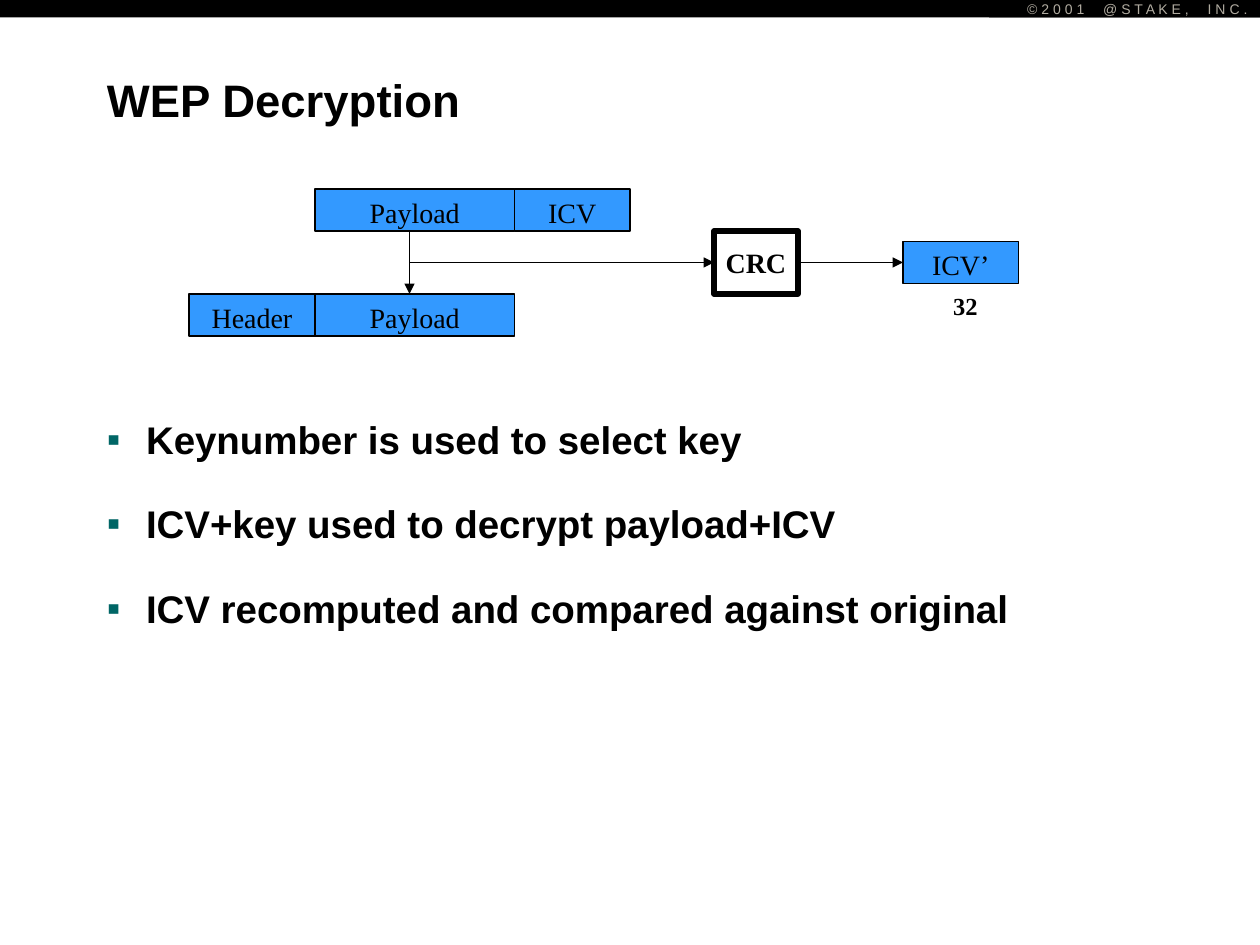
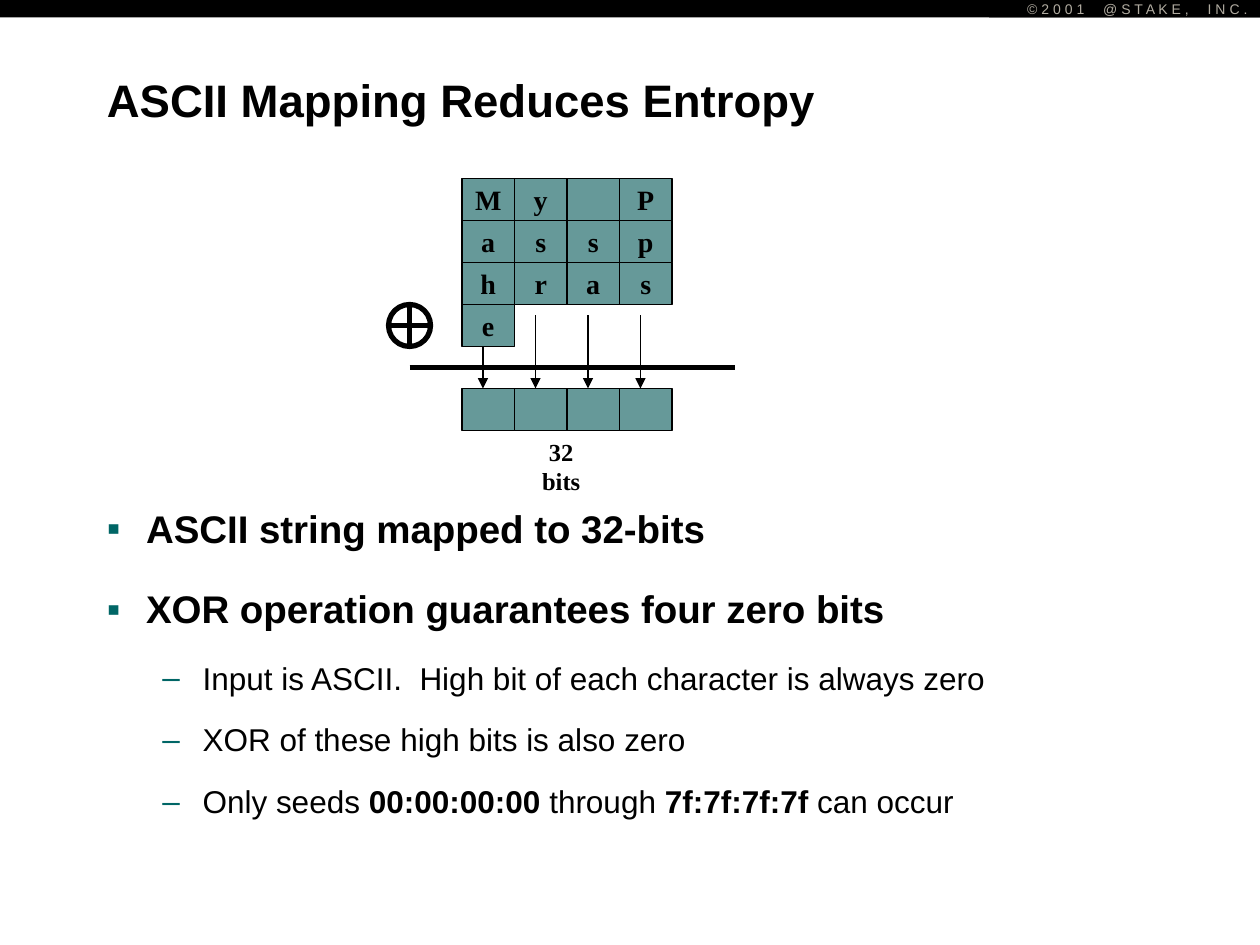
import pptx
import pptx.util
import pptx.dml.color
import pptx.enum.shapes
import pptx.enum.text
import pptx.oxml.ns
import lxml.etree

Cm = pptx.util.Cm
Pt = pptx.util.Pt
rgb = pptx.dml.color.RGBColor.from_string
qn = pptx.oxml.ns.qn
SHAPE = pptx.enum.shapes.MSO_SHAPE
ANCHOR = pptx.enum.text.MSO_ANCHOR
ALIGN = pptx.enum.text.PP_ALIGN

UNIT = 2.54 / 12
BLACK, WHITE, GREY = "000000", "FFFFFF", "B1ACA1"
BLUE, TEAL, BULLET = "3399FF", "669999", "006666"
SANS, SERIF = "Arial", "Times New Roman"


def box(s, x, y, w, h, text="", fill=None, line=None, size=16, bold=False, font=SERIF,
        color=BLACK, anchor=ANCHOR.MIDDLE, align=ALIGN.CENTER, wrap=False, kind=SHAPE.RECTANGLE):
    place = [Cm(v * UNIT) for v in (x, y, w, h)]
    if fill:
        sp = s.shapes.add_shape(kind, *place)
        sp.shadow.inherit = False
        sp.fill.solid()
        sp.fill.fore_color.rgb = rgb(fill)
        if line:
            sp.line.color.rgb = rgb(BLACK)
            sp.line.width = Pt(line)
        else:
            sp.line.fill.background()
    else:
        sp = s.shapes.add_textbox(*place)
    tf = sp.text_frame
    tf.word_wrap = wrap
    tf.vertical_anchor = anchor
    if fill and anchor == ANCHOR.TOP:
        tf.margin_bottom = 0
    if text:
        p = tf.paragraphs[0]
        p.alignment = align
        for i, word in enumerate(text.split("|")):
            if i:
                r = p.add_run()
                r.text = " "
                r.font.size = Pt(size)
                r.font._element.set("spc", "890")
            r = p.add_run()
            r.text = word
            r.font.size = Pt(size)
            r.font.bold = bold
            r.font.name = font
            r.font.color.rgb = rgb(color)
    return sp


def connect(s, x1, y1, x2, y2, width=0.75, arrow=True):
    c = s.shapes.add_connector(pptx.enum.shapes.MSO_CONNECTOR.STRAIGHT,
                               *[Cm(v * UNIT) for v in (x1, y1, x2, y2)])
    c.line.color.rgb = rgb(BLACK)
    c.line.width = Pt(width)
    spPr = c._element.spPr
    if arrow:
        lxml.etree.SubElement(spPr.find(qn("a:ln")), qn("a:tailEnd"), type="triangle")
    lxml.etree.SubElement(spPr, qn("a:effectLst"))


prs = pptx.Presentation()
prs.slide_width = Cm(25.4)
prs.slide_height = Cm(19.05)

LEVELS = [
    {"indent": (0.79, -0.79), "before": 11, "after": 11, "char": "▪", "size": 22},
    {"indent": (1.93, -0.81), "before": 6.8, "after": 9, "char": "–", "size": 18},
]
CONTENT = [
    ("WEP Decryption", 39, 40, 1.0, [
        (0, "Keynumber is used to select key"),
        (0, "ICV+key used to decrypt payload+ICV"),
        (0, "ICV recomputed and compared against original"),
    ]),
    ("ASCII Mapping Reduces Entropy", 48, 31, 0.9, [
        (0, "ASCII string mapped to 32-bits"),
        (0, "XOR operation guarantees four zero bits"),
        (1, "Input is ASCII.  High bit of each character is always zero"),
        (1, "XOR of these high bits is also zero"),
        (1, "Only seeds *00:00:00:00* through *7f:7f:7f:7f* can occur"),
    ]),
]

slides = []
for title, top, height, spacing, bullets in CONTENT:
    s = prs.slides.add_slide(prs.slide_layouts[6])
    slides.append(s)
    box(s, 0, 0, 120, 1.65, fill=BLACK)
    box(s, 94.2, 0, 25.8, 1.65, "© 2 0 0 1|@ S T A K E ,|I N C .", fill=BLACK,
        size=8, font=SANS, color=GREY, align=ALIGN.RIGHT)
    box(s, 9, 6, 102, 7, title, size=26, bold=True, font=SANS, align=ALIGN.LEFT, wrap=True)
    tf = box(s, 9, top, 102, height, anchor=ANCHOR.TOP, wrap=True).text_frame
    for i, (level, text) in enumerate(bullets):
        style = LEVELS[level]
        p = tf.add_paragraph() if i else tf.paragraphs[0]
        p.level = level
        pPr = p._p.get_or_add_pPr()
        left, hang = style["indent"]
        pPr.set("marL", str(Cm(left)))
        pPr.set("indent", str(Cm(hang)))
        clr = lxml.etree.SubElement(pPr, qn("a:buClr"))
        lxml.etree.SubElement(clr, qn("a:srgbClr"), val=BULLET)
        lxml.etree.SubElement(pPr, qn("a:buFont"), typeface=SANS)
        lxml.etree.SubElement(pPr, qn("a:buChar"), char=style["char"])
        p.line_spacing = spacing
        p.space_before = Pt(style["before"] if i else 0)
        p.space_after = Pt(style["after"])
        for j, part in enumerate(text.split("*")):
            r = p.add_run()
            r.text = part
            r.font.size = Pt(style["size"])
            r.font.name = SANS
            r.font.bold = level == 0 or j % 2 == 1
            r.font.color.rgb = rgb(BLACK)

s = slides[0]
for x, y, w, field in [(49, 18, 11, "ICV"), (30, 18, 19, "Payload"), (30, 28, 19, "Payload"),
                       (18, 28, 12, "Header"), (86, 23, 11, "ICV’")]:
    box(s, x, y, w, 4, field, fill=BLUE, line=0.75, anchor=ANCHOR.TOP)
box(s, 68, 22, 8, 6, "CRC", fill=WHITE, line=3, bold=True)
box(s, 89.6, 27.1, 4.7, 4.1, "32", size=14, bold=True, anchor=ANCHOR.TOP)
connect(s, 39, 22, 39, 28)
connect(s, 39, 25, 68, 25)
connect(s, 76, 25, 86, 25)

s = slides[1]
for row, letters in enumerate(["My P", "assp", "hras", "e"]):
    for col, letter in enumerate(letters):
        box(s, 44 + 5 * col, 17 + 4 * row, 5, 4, letter.strip(), fill=TEAL, line=0.75, bold=True)
connect(s, 39, 35, 70, 35, width=3, arrow=False)
box(s, 37, 29, 4, 4, fill=WHITE, line=3, kind=SHAPE.OVAL)
connect(s, 37, 31, 41, 31, width=3, arrow=False)
connect(s, 39, 29, 39, 33, width=3, arrow=False)
for col in range(4):
    box(s, 44 + 5 * col, 37, 5, 4, fill=TEAL, line=0.75)
    connect(s, 46 + 5 * col, 30 if col else 33, 46 + 5 * col, 37)
box(s, 49, 41, 8.9, 4.1, "32 bits", size=14, bold=True, anchor=ANCHOR.TOP)

prs.save("out.pptx")
